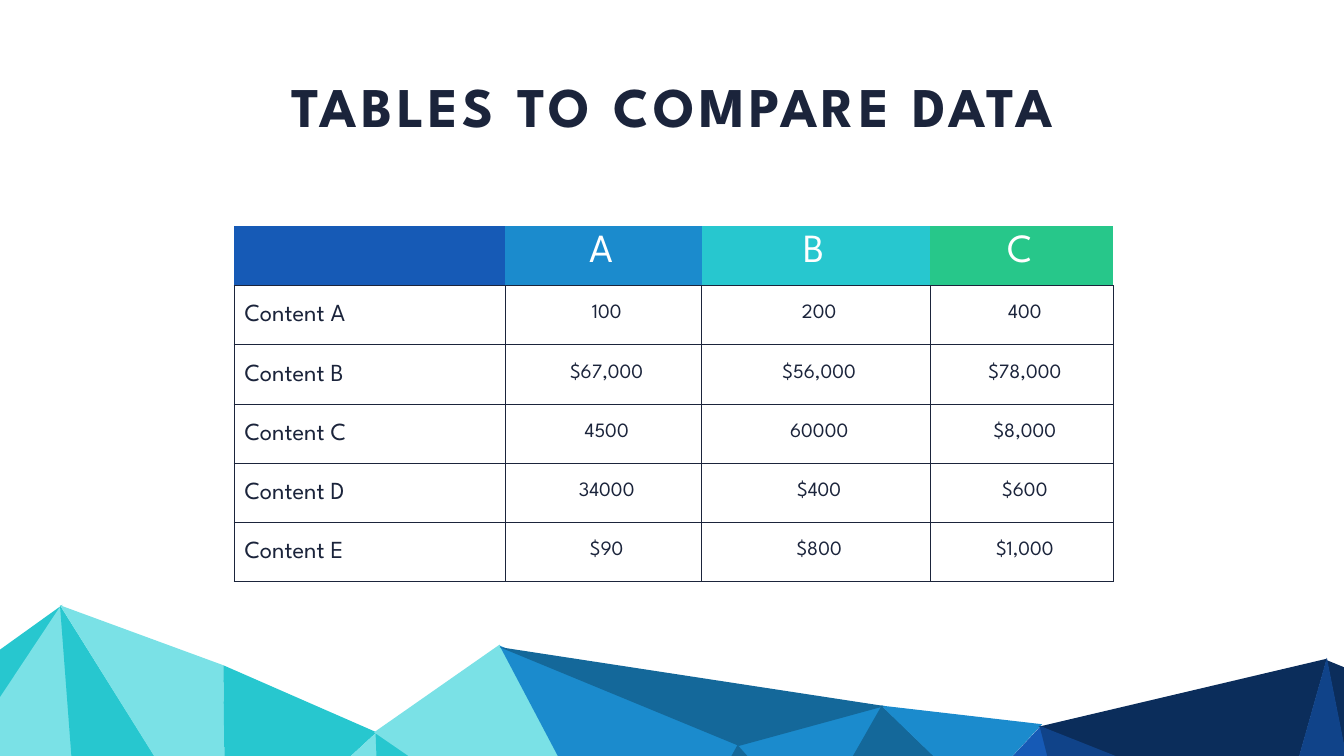
from lxml import etree
from pptx import Presentation
from pptx.dml.color import RGBColor
from pptx.enum.text import MSO_ANCHOR, MSO_AUTO_SIZE, PP_ALIGN
from pptx.oxml.ns import qn
from pptx.util import Inches, Pt

LEFT, CENTER = PP_ALIGN.LEFT, PP_ALIGN.CENTER
TOP, BOTTOM = MSO_ANCHOR.TOP, MSO_ANCHOR.BOTTOM
NO_AUTOFIT = MSO_AUTO_SIZE.NONE
TITLE_ONLY = 5

FONT = "League Spartan"
INK, WHITE = "1B243B", "FFFFFF"
TEAL, AQUA = "27C7CF", "7AE1E6"
SKY, STEEL = "1B8BCD", "14689A"
ROYAL, COBALT, NAVY = "165AB6", "104389", "0B2D5B"
GREEN = "27C78A"

HEADER_FILLS = [ROYAL, SKY, TEAL, GREEN]
COLUMN_SHARES = [5.38, 3.9, 4.53, 3.63]
ROWS = [
    ["", "A", "B", "C"],
    ["Content A", "100", "200", "400"],
    ["Content B", "$67,000", "$56,000", "$78,000"],
    ["Content C", "4500", "60000", "$8,000"],
    ["Content D", "34000", "$400", "$600"],
    ["Content E", "$90", "$800", "$1,000"],
]

MOUNTAIN_BOX = (0, 12, 26.66, 3)
FACETS = [
    (TEAL, [(1.24, 0), (0, 0.89), (0, 1.88)]),
    (AQUA, [(1.56, 4.64), (1.21, 0.01), (-0.03, 1.88), (-0.03, 4.64)]),
    (TEAL, [(4.09, 4.64), (1.19, 0.01), (1.54, 4.64)]),
    (AQUA, [(4.47, 4.64), (4.43, 1.2), (1.19, 0.01), (4.08, 4.64)]),
    (TEAL, [(5.18, 4.64), (7.47, 2.53), (4.43, 1.2), (4.47, 4.64)]),
    (AQUA, [(7.55, 4.64), (7.47, 2.53), (5.18, 4.64)]),
    (TEAL, [(10.52, 4.64), (7.45, 2.53), (7.53, 4.64)]),
    (AQUA, [(11.94, 4.64), (9.91, 0.79), (7.42, 2.53), (10.49, 4.64)]),
    (SKY, [(13.62, 4.66), (14.66, 2.76), (9.91, 0.81), (11.94, 4.66)]),
    (SKY, [(14.61, 2.79), (16.1, 4.47), (17.51, 2)]),
    (STEEL, [(16.08, 4.47), (19.35, 3.8), (17.49, 2)]),
    (SKY, [(17.48, 2), (19.34, 3.8), (20.67, 2.37)]),
    (ROYAL, [(21.24, 4.71), (20.65, 2.4), (19.32, 3.82), (20.28, 4.71)]),
    (NAVY, [(20.6, 2.42), (25.4, 4.33), (26.32, 1.07)]),
    (COBALT, [(24.42, 4.71), (25.43, 4.31), (20.62, 2.4), (21.21, 4.71)]),
    (NAVY, [(26.81, 1.3), (26.32, 1.1), (26.81, 3.57)]),
    (COBALT, [(26.81, 4.71), (26.81, 3.52), (26.32, 1.05), (25.4, 4.31),
              (26, 4.71)]),
    (STEEL, [(9.91, 0.84), (17.55, 2.01), (14.66, 2.8)]),
    (STEEL, [(15.71, 4.68), (16.12, 4.46), (14.63, 2.78), (13.59, 4.68)]),
]


def color(value):
    return RGBColor.from_string(value)


def write_text(frame, text, size=29, fill=INK, align=LEFT, bold=False,
               spacing=0):
    paragraph = frame.paragraphs[0]
    paragraph.alignment = align
    run = paragraph.add_run()
    run.text = text
    run.font.name = FONT
    run.font.size = Pt(size)
    run.font.bold = bold
    run.font.color.rgb = color(fill)
    if spacing:
        run.font._element.set("spc", str(spacing * 100))


def set_borders(cell, drawn_sides):
    properties = cell._tc.get_or_add_tcPr()
    for index, side in enumerate("LRTB"):
        line = etree.Element(qn(f"a:ln{side}"), w=str(Pt(1)))
        if side in drawn_sides:
            fill = etree.SubElement(line, qn("a:solidFill"))
            etree.SubElement(fill, qn("a:srgbClr"), val=INK)
        else:
            etree.SubElement(line, qn("a:noFill"))
        properties.insert(index, line)


def set_margins(cell, left, top, right, bottom):
    cell.margin_left, cell.margin_top = Inches(left), Inches(top)
    cell.margin_right, cell.margin_bottom = Inches(right), Inches(bottom)


def add_mountains(slide, left, top, width, height):
    scale_x, scale_y = width / MOUNTAIN_BOX[2], height / MOUNTAIN_BOX[3]
    for fill, corners in FACETS:
        points = [(Inches(left + x * scale_x), Inches(top + y * scale_y))
                  for x, y in corners]
        builder = slide.shapes.build_freeform(*points[0])
        builder.add_line_segments(points[1:], close=True)
        facet = builder.convert_to_shape()
        facet.shadow.inherit = False
        facet.fill.solid()
        facet.fill.fore_color.rgb = color(fill)
        facet.line.fill.background()


def add_comparison_table(slide, left, top, width, height):
    frame = slide.shapes.add_table(
        len(ROWS), len(COLUMN_SHARES),
        Inches(left), Inches(top), Inches(width), Inches(height))
    table = frame.table
    table.horz_banding = False
    for column, share in zip(table.columns, COLUMN_SHARES):
        column.width = Inches(width * share / sum(COLUMN_SHARES))
    for row_index, values in enumerate(ROWS):
        table.rows[row_index].height = Inches(height / len(ROWS))
        for column_index, value in enumerate(values):
            cell = table.cell(row_index, column_index)
            is_header = row_index == 0
            is_label = column_index == 0
            cell.vertical_anchor = TOP
            cell.fill.solid()
            cell.fill.fore_color.rgb = color(
                HEADER_FILLS[column_index] if is_header else WHITE)
            set_borders(cell, "B" if is_header else "LRTB")
            if is_header:
                set_margins(cell, 0, 0.16, 0.08, 0)
            else:
                set_margins(cell, 0.21, 0.38, 0.08, 0.04)
            if value:
                write_text(cell.text_frame, value,
                           size=57 if is_header else 35 if is_label else 29,
                           fill=WHITE if is_header else INK,
                           align=LEFT if is_label else CENTER)


def place_title(slide, left, top, width, height):
    title = slide.shapes.title
    title.left, title.top = Inches(left), Inches(top)
    title.width, title.height = Inches(width), Inches(height)
    frame = title.text_frame
    frame.auto_size = NO_AUTOFIT
    frame.word_wrap = False
    frame.vertical_anchor = BOTTOM
    write_text(frame, "TABLES TO COMPARE DATA", size=80, align=CENTER,
               bold=True, spacing=6)


def main():
    presentation = Presentation()
    presentation.slide_width = Inches(26.66)
    presentation.slide_height = Inches(15)
    slide = presentation.slides.add_slide(
        presentation.slide_layouts[TITLE_ONLY])
    add_mountains(slide, *MOUNTAIN_BOX)
    add_comparison_table(slide, 4.64, 4.49, 17.44, 7.05)
    place_title(slide, 4.55, 1.36, 17.59, 1.45)
    presentation.save("out.pptx")


if __name__ == "__main__":
    main()
